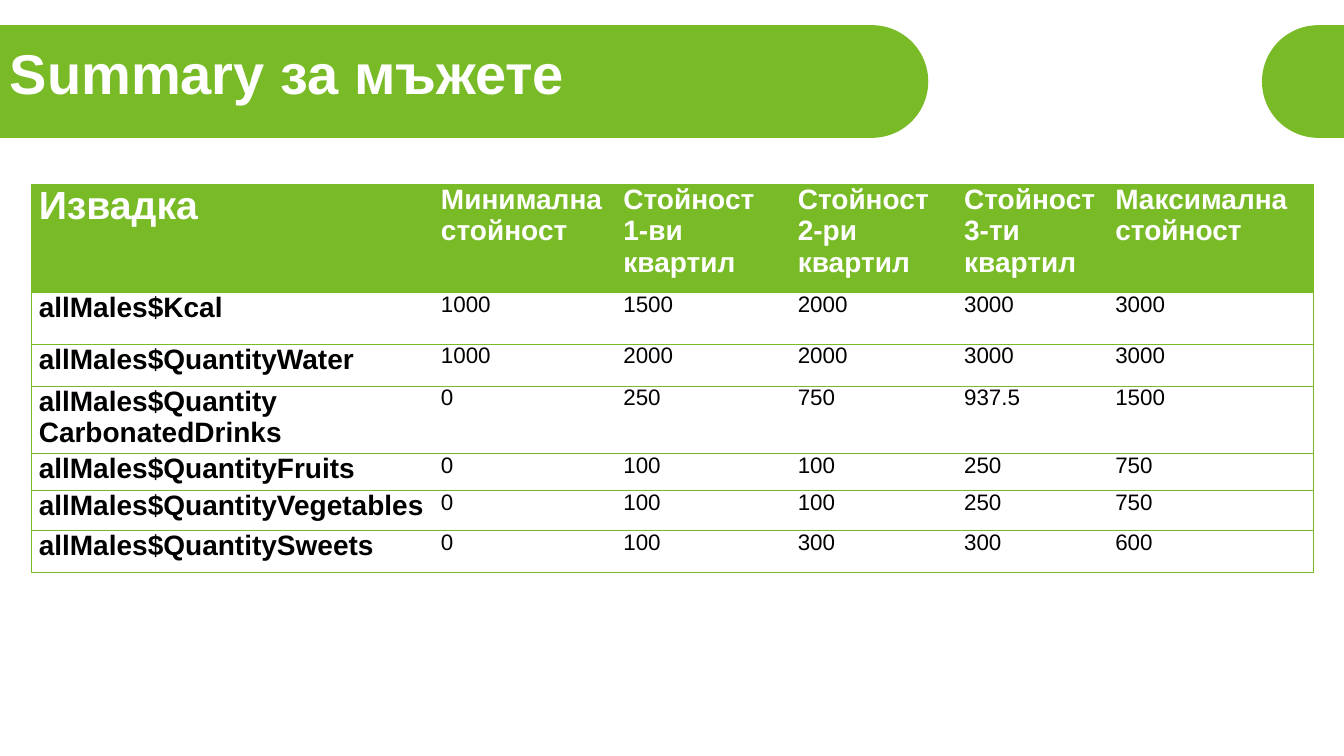
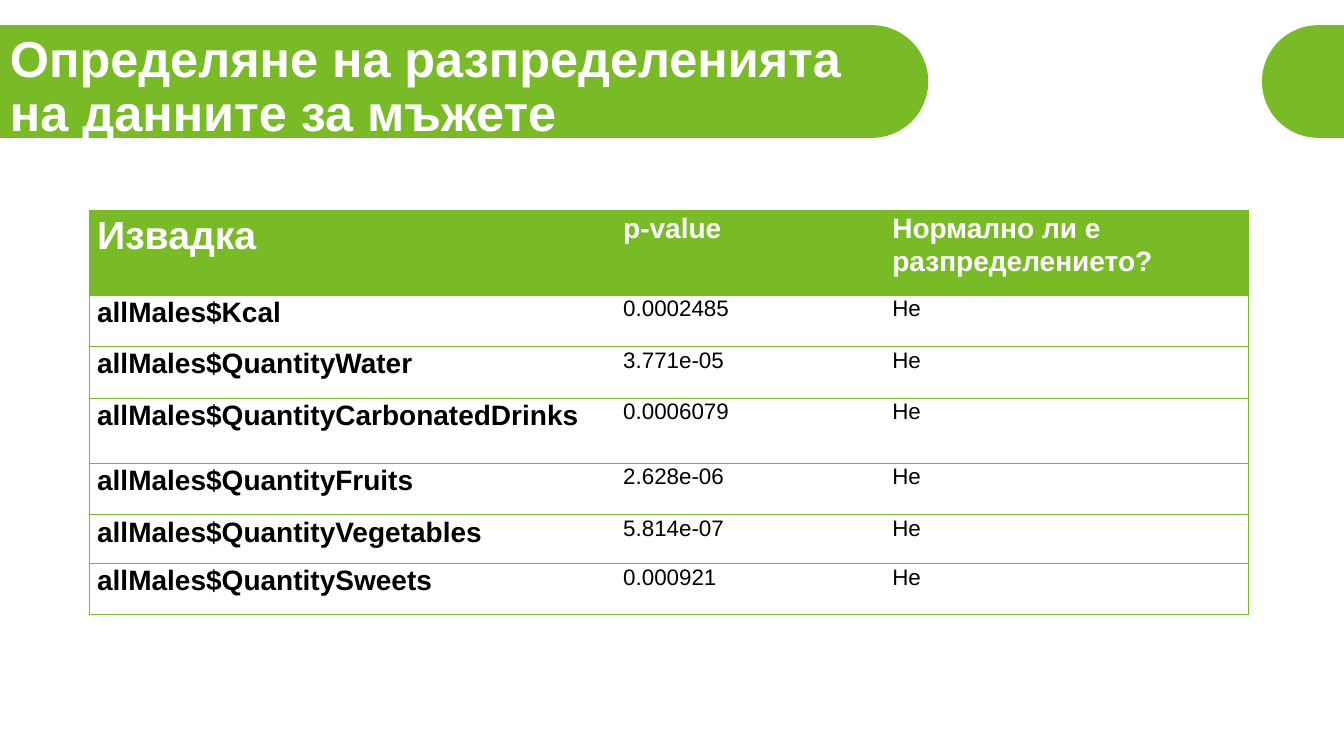
from dataclasses import dataclass
from math import cos, pi, sin

from lxml.etree import SubElement
from pptx import Presentation
from pptx.dml.color import RGBColor
from pptx.enum.text import MSO_ANCHOR
from pptx.oxml.ns import qn
from pptx.slide import Slide
from pptx.table import _Cell
from pptx.text.text import TextFrame
from pptx.util import Pt


@dataclass(frozen=True)
class Theme:
    green: str = "79BA27"
    white: str = "FFFFFF"
    black: str = "000000"
    font: str = "Arial"
    corner_size: float = 28
    label_size: float = 20
    value_size: float = 16
    rule_width: float = 0.5
    cell_inset: float = 5.4


@dataclass(frozen=True)
class Band:
    """A bar running off the slide edge, with a round cap on the other end."""
    edge: float
    cap_centre: float
    direction: int


@dataclass(frozen=True)
class Title:
    text: str
    size: float
    top: float
    width: float


@dataclass(frozen=True)
class Grid:
    left: float
    top: float
    columns: tuple[float, ...]
    rows: tuple[float, ...]
    line_spacing: float
    cells: tuple[tuple[str, ...], ...]


@dataclass(frozen=True)
class Page:
    title: Title
    grid: Grid


THEME = Theme()
SLIDE_WIDTH, SLIDE_HEIGHT = 960, 540
BAND_TOP, BAND_RADIUS = 18, 40.25
ARC_STEPS = 48
TITLE_HEIGHT = 56.9
BANDS = (Band(0, 622.8, 1), Band(SLIDE_WIDTH, 941.7, -1))

PAGES = (
    Page(
        Title("Summary за мъжете", 40, 25.9, 887.8),
        Grid(
            22.3, 131.6,
            (287.3, 130.3, 124.6, 118.8, 108, 146.9),
            (77, 37, 30, 44.8, 26.6, 28.6, 29.8),
            1.0,
            (
                ("Извадка", "Минимална стойност", "Стойност 1-ви квартил",
                 "Стойност 2-ри квартил", "Стойност 3-ти квартил", "Максимална стойност"),
                ("allMales$Kcal", "1000", "1500", "2000", "3000", "3000"),
                ("allMales$QuantityWater", "1000", "2000", "2000", "3000", "3000"),
                ("allMales$Quantity\nCarbonatedDrinks", "0", "250", "750", "937.5", "1500"),
                ("allMales$QuantityFruits", "0", "100", "100", "250", "750"),
                ("allMales$QuantityVegetables", "0", "100", "100", "250", "750"),
                ("allMales$QuantitySweets", "0", "100", "300", "300", "600"),
            ),
        ),
    ),
    Page(
        Title("Определяне на разпределенията на данните за мъжете", 36, 34.6, 627.8),
        Grid(
            64, 150.4,
            (375.8, 192.2, 259.4),
            (60.2, 36.8, 36.8, 46.6, 36.8, 34.8, 36.6),
            1.07,
            (
                ("Извадка", "p-value", "Нормално ли е разпределението?"),
                ("allMales$Kcal", "0.0002485", "Не"),
                ("allMales$QuantityWater", "3.771e-05", "Не"),
                ("allMales$QuantityCarbonatedDrinks", "0.0006079", "Не"),
                ("allMales$QuantityFruits", "2.628e-06", "Не"),
                ("allMales$QuantityVegetables", "5.814e-07", "Не"),
                ("allMales$QuantitySweets", "0.000921", "Не"),
            ),
        ),
    ),
)


def write(frame: TextFrame, text: str, size: float, color: str, bold: bool,
          line_spacing: float, space_before: float = 0) -> None:
    frame.text = text
    for paragraph in frame.paragraphs:
        paragraph.line_spacing = line_spacing
        paragraph.space_before = Pt(space_before)
        for run in paragraph.runs:
            run.font.name = THEME.font
            run.font.size = Pt(size)
            run.font.bold = bold
            run.font.color.rgb = RGBColor.from_string(color)


def add_band(slide: Slide, band: Band) -> None:
    middle = BAND_TOP + BAND_RADIUS
    angles = [pi * step / ARC_STEPS - pi / 2 for step in range(ARC_STEPS + 1)]
    cap = [(Pt(band.cap_centre + band.direction * BAND_RADIUS * cos(angle)),
            Pt(middle + BAND_RADIUS * sin(angle))) for angle in angles]
    builder = slide.shapes.build_freeform(Pt(band.edge), Pt(BAND_TOP))
    builder.add_line_segments([*cap, (Pt(band.edge), Pt(middle + BAND_RADIUS))], close=True)
    bar = builder.convert_to_shape()
    bar.shadow.inherit = False
    bar.fill.solid()
    bar.fill.fore_color.rgb = RGBColor.from_string(THEME.green)
    bar.line.fill.background()


def add_title(slide: Slide, title: Title) -> None:
    frame = slide.shapes.add_textbox(
        Pt(0), Pt(title.top), Pt(title.width), Pt(TITLE_HEIGHT)).text_frame
    frame.word_wrap = True
    frame.vertical_anchor = MSO_ANCHOR.MIDDLE
    write(frame, title.text, title.size, THEME.white, True, 0.9, 10)


def set_borders(cell: _Cell, left: bool, right: bool) -> None:
    """Rule the cell above and below, and on the sides asked for."""
    properties = cell._tc.get_or_add_tcPr()
    sides = {"lnL": left, "lnR": right, "lnT": True, "lnB": True}
    for position, (tag, visible) in enumerate(sides.items()):
        border = SubElement(properties, qn(f"a:{tag}"), w=str(Pt(THEME.rule_width)))
        if visible:
            fill = SubElement(border, qn("a:solidFill"))
            SubElement(fill, qn("a:srgbClr"), val=THEME.green)
        else:
            SubElement(border, qn("a:noFill"))
        properties.insert(position, border)


def add_grid(slide: Slide, grid: Grid) -> None:
    table = slide.shapes.add_table(
        len(grid.rows), len(grid.columns), Pt(grid.left), Pt(grid.top),
        Pt(sum(grid.columns)), Pt(sum(grid.rows))).table
    table.horz_banding = False
    for column, width in zip(table.columns, grid.columns):
        column.width = Pt(width)
    for row, height in zip(table.rows, grid.rows):
        row.height = Pt(height)

    last_column = len(grid.columns) - 1
    for r, texts in enumerate(grid.cells):
        for c, text in enumerate(texts):
            cell = table.cell(r, c)
            is_header, is_label = r == 0, c == 0
            cell.margin_left = cell.margin_right = Pt(THEME.cell_inset)
            cell.margin_top = cell.margin_bottom = Pt(0)
            if is_header:
                cell.fill.solid()
                cell.fill.fore_color.rgb = RGBColor.from_string(THEME.green)
                size = THEME.corner_size if is_label else THEME.label_size
            else:
                cell.fill.background()
                size = THEME.label_size if is_label else THEME.value_size
            write(cell.text_frame, text, size, THEME.white if is_header else THEME.black,
                  is_header or is_label, grid.line_spacing)
            set_borders(cell, is_label, c == last_column)


def main() -> None:
    presentation = Presentation()
    presentation.slide_width = Pt(SLIDE_WIDTH)
    presentation.slide_height = Pt(SLIDE_HEIGHT)
    blank = presentation.slide_layouts[6]
    for page in PAGES:
        slide = presentation.slides.add_slide(blank)
        for band in BANDS:
            add_band(slide, band)
        add_title(slide, page.title)
        add_grid(slide, page.grid)
    presentation.save("out.pptx")


if __name__ == "__main__":
    main()
